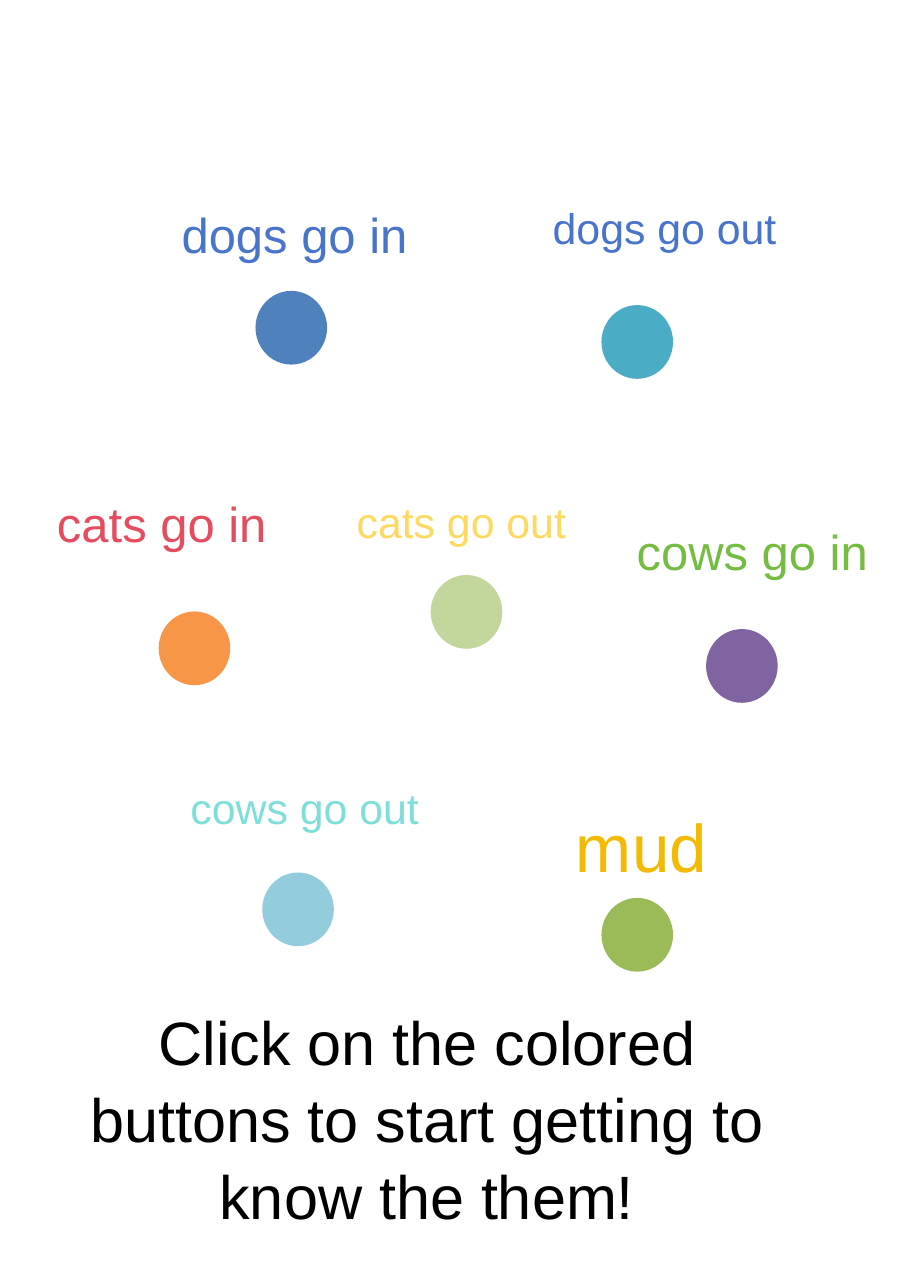
import pptx
import pptx.util
import pptx.dml.color
import pptx.enum.shapes
import pptx.enum.text

Pt = pptx.util.Pt

PAGE_WIDTH, PAGE_HEIGHT = 595.44, 841.68
FONT = "Arial"
LINE_SPACING = 1.05

PROMPT = "Click on the colored buttons to start getting to know the them!"
PROMPT_AREA = (30.2, 650.2, 497.5, 129.6)

BUTTON_SIZE = (46.8, 48.2)
BUTTONS = [
    (167, 190.1, "4F81BD"),
    (393.1, 199.4, "4BACC6"),
    (461.5, 411.1, "8064A2"),
    (393.1, 586.8, "9BBB59"),
    (171.4, 570.2, "93CDDD"),
    (103.7, 399.6, "F79646"),
    (281.5, 375.8, "C3D69B"),
]

LABEL_SIZE = (187.2, 69.8)
LABELS = [
    ("dogs go in", 111.6, 128.2, 32, "4874CB"),
    ("dogs go out", 354.2, 126.7, 28, "4874CB"),
    ("cats go in", 30.2, 316.8, 32, "E54C5E"),
    ("cats go out", 226.1, 319, 28, "FED961"),
    ("cows go in", 409, 335.5, 32, "75BD42"),
    ("cows go out", 117.4, 505.4, 28, "7DDFD7"),
    ("mud", 369.4, 519.8, 44, "F2BA02"),
]


def color(value):
    return pptx.dml.color.RGBColor.from_string(value)


def write(box, text, size, tint, align):
    frame = box.text_frame
    frame.text = text
    frame.word_wrap = True
    frame.auto_size = pptx.enum.text.MSO_AUTO_SIZE.NONE
    frame.vertical_anchor = pptx.enum.text.MSO_ANCHOR.TOP
    para = frame.paragraphs[0]
    para.alignment = align
    para.line_spacing = LINE_SPACING
    span = para.runs[0]
    span.font.name = FONT
    span.font.size = Pt(size)
    span.font.color.rgb = color(tint)


def main():
    deck = pptx.Presentation()
    deck.slide_width = Pt(PAGE_WIDTH)
    deck.slide_height = Pt(PAGE_HEIGHT)
    page = deck.slides.add_slide(deck.slide_layouts.get_by_name("Title Only"))

    prompt = page.shapes.title
    prompt.left, prompt.top, prompt.width, prompt.height = map(Pt, PROMPT_AREA)
    write(prompt, PROMPT, 40, "000000", pptx.enum.text.PP_ALIGN.CENTER)

    for left, top, tint in BUTTONS:
        button = page.shapes.add_shape(
            pptx.enum.shapes.MSO_SHAPE.OVAL, *map(Pt, (left, top, *BUTTON_SIZE)))
        button.shadow.inherit = False
        button.fill.solid()
        button.fill.fore_color.rgb = color(tint)
        button.line.fill.background()

    for text, left, top, size, tint in LABELS:
        label = page.shapes.add_textbox(*map(Pt, (left, top, *LABEL_SIZE)))
        write(label, text, size, tint, pptx.enum.text.PP_ALIGN.LEFT)

    deck.save("out.pptx")


if __name__ == "__main__":
    main()
